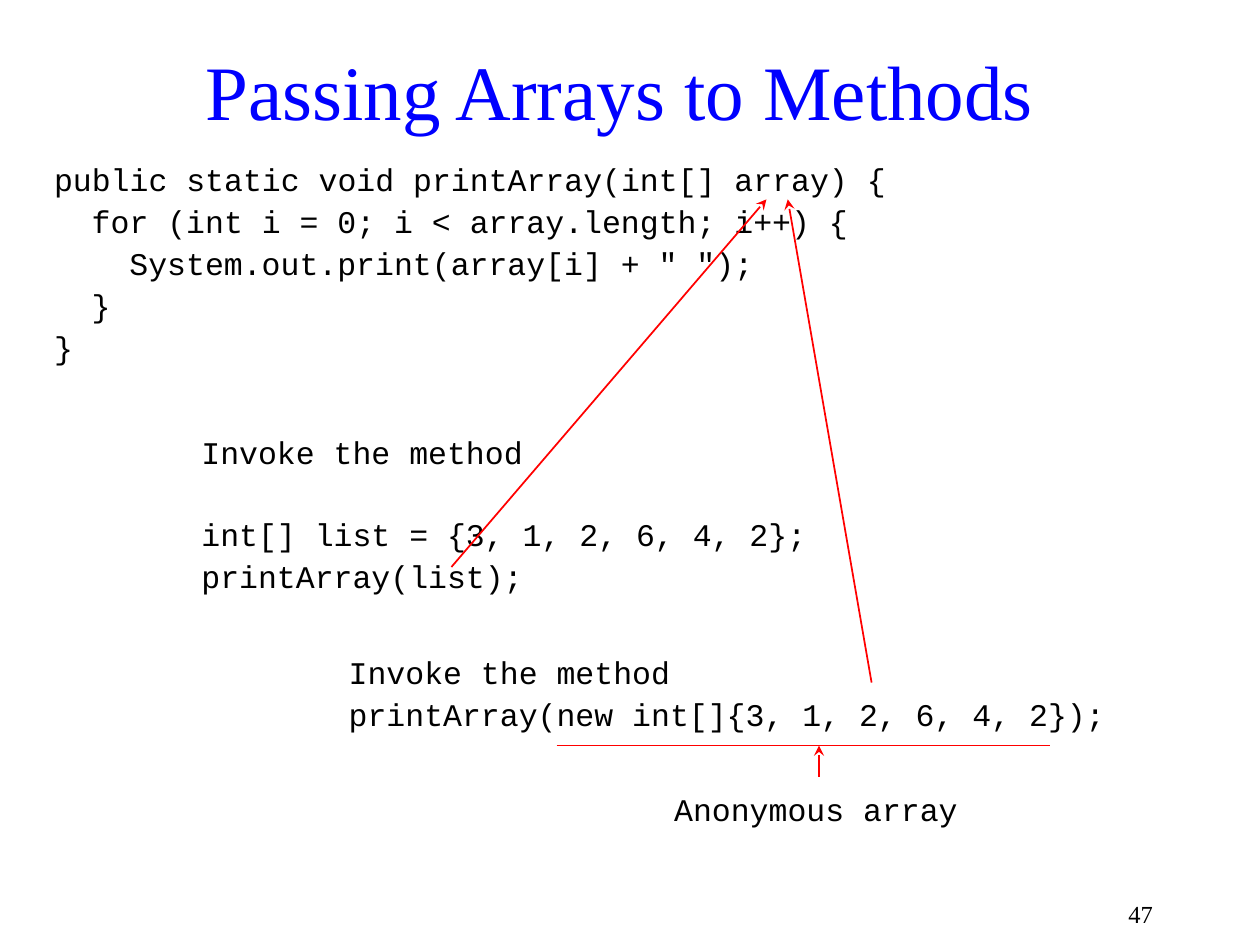
from pptx import Presentation
from pptx.dml.color import RGBColor
from pptx.enum.shapes import MSO_CONNECTOR as Link
from pptx.enum.text import MSO_ANCHOR as Anchor, PP_ALIGN as Align
from pptx.oxml.ns import qn
from pptx.util import Cm, Pt
from lxml.etree import SubElement

SERIF, MONO = "Times New Roman", "Courier New"
BLACK, BLUE, RED = "000000", "0000FF", "FF0000"
STEP, GAP, SKIP = 0.76, 4.6, 27.6

HEADS = [
    ("Passing Arrays to Methods", (1.7, 0.64, 21.59, 2.34), 44, BLUE, Align.CENTER),
    ("47", (18.21, 17.78, 5.28, 1.27), 14, BLACK, Align.RIGHT),
]
CODE = [
    ((0.84, 3.18, 17.78, 4.65), [
        ("public static void printArray(int[] array) {", 0, GAP),
        ("for (int i = 0; i < array.length; i++) {", 1, GAP),
        ('System.out.print(array[i] + " ");', 2, GAP),
        ("}", 1, GAP),
        ("}", 0, GAP),
    ]),
    ((3.81, 8.69, 19.25, 3.61), [
        ("Invoke the method", 0, GAP),
        ("int[] list = {3, 1, 2, 6, 4, 2};", 0, SKIP),
        ("printArray(list);", 0, GAP),
    ]),
    ((6.78, 13.13, 19.25, 3.61), [
        ("Invoke the method", 0, GAP),
        ("printArray(new int[]{3, 1, 2, 6, 4, 2});", 0, GAP),
    ]),
    ((13.34, 15.88, 6.55, 0.84), [("Anonymous array", 0, GAP)]),
]
LINES = [
    ((9.1, 11.43, 15.45, 4.02), True),
    ((17.57, 13.76, 15.88, 4.02), True),
    ((16.51, 15.66, 16.51, 15.03), True),
    ((11.22, 15.03, 21.17, 15.03), False),
]


def tint(hue):
    return RGBColor.from_string(hue)


def apply(part, form):
    for key, val in form.items():
        setattr(part, key, val)


def add_box(spot, anchor):
    frame = slide.shapes.add_textbox(*map(Cm, spot)).text_frame
    apply(frame, {"word_wrap": True, "vertical_anchor": anchor})
    return frame


def write(para, text, face, size, hue, form):
    apply(para, form)
    run = para.add_run()
    run.text = text
    apply(run.font, {"name": face, "size": Pt(size)})
    run.font.color.rgb = tint(hue)


def add_code(spot, rows):
    frame = add_box(spot, Anchor.TOP)
    for num, (text, depth, gap) in enumerate(rows):
        para = frame.add_paragraph() if num else frame.paragraphs[0]
        write(para, text, MONO, 18, BLACK,
              {"line_spacing": 0.9, "space_before": Pt(gap)})
        para._p.get_or_add_pPr().set("marL", str(Cm(STEP * depth)))


def add_line(ends, arrow):
    link = slide.shapes.add_connector(Link.STRAIGHT, *map(Cm, ends))
    link.line.width = Pt(1)
    link.line.color.rgb = tint(RED)
    if arrow:
        SubElement(link.line._get_or_add_ln(), qn("a:tailEnd"), type="stealth")
    SubElement(link._element.spPr, qn("a:effectLst"))


deck = Presentation()
apply(deck, {"slide_width": Cm(25.4), "slide_height": Cm(19.05)})
slide = deck.slides.add_slide(deck.slide_layouts[6])

for text, spot, size, hue, align in HEADS:
    frame = add_box(spot, Anchor.MIDDLE)
    write(frame.paragraphs[0], text, SERIF, size, hue, {"alignment": align})
for spot, rows in CODE:
    add_code(spot, rows)
for ends, arrow in LINES:
    add_line(ends, arrow)

deck.save("out.pptx")
